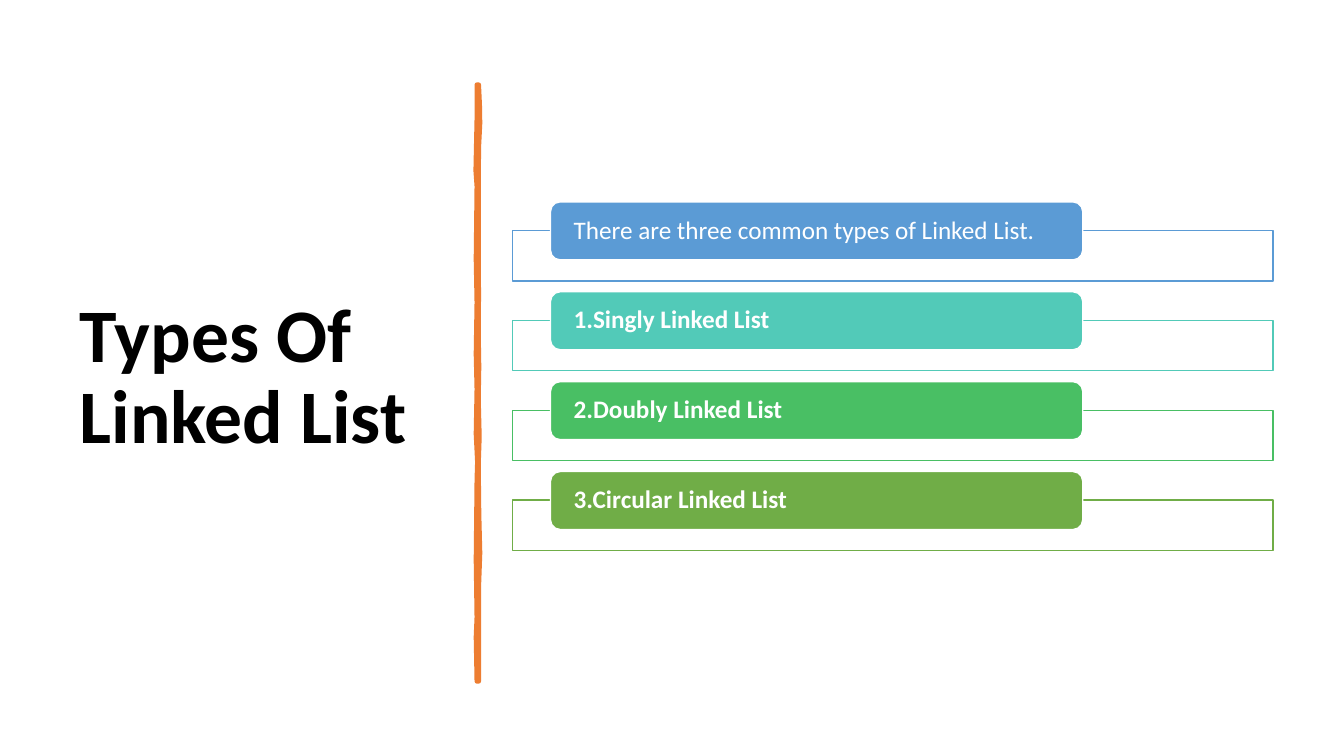
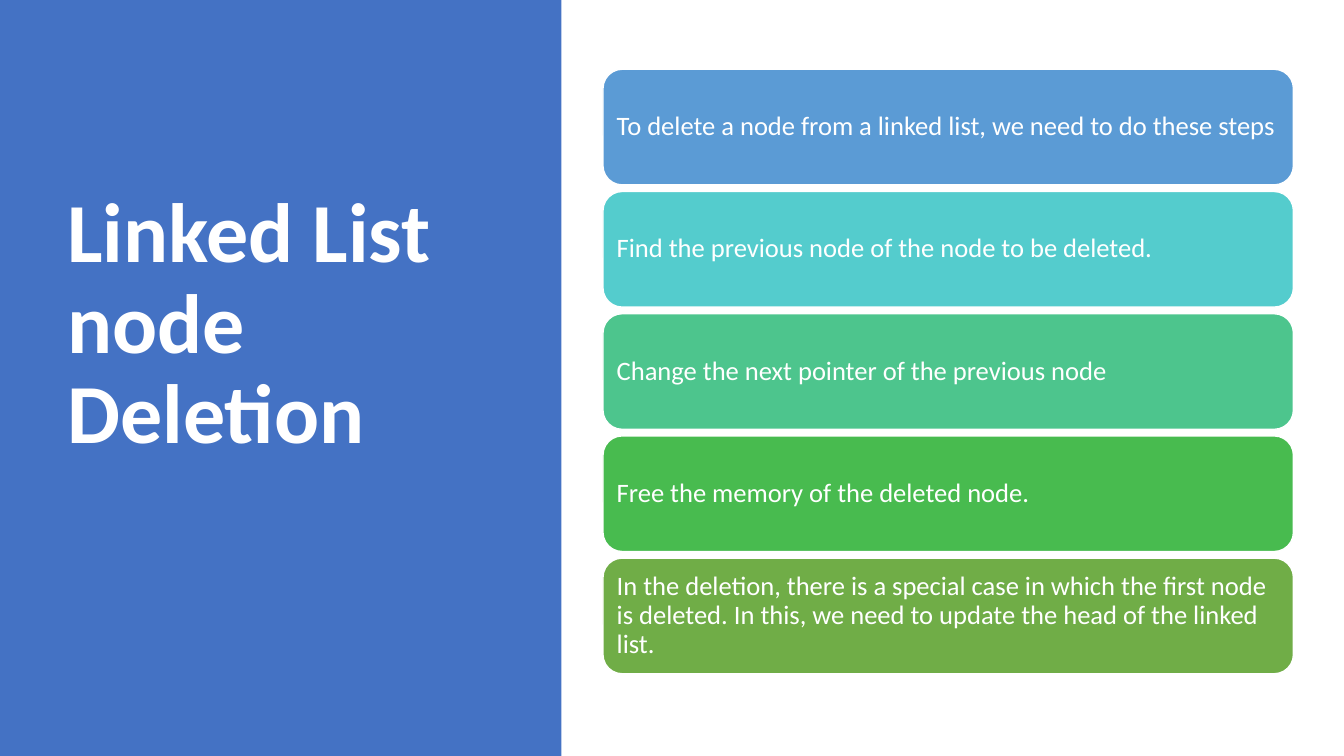
from dataclasses import dataclass

from pptx import Presentation
from pptx.dml.color import RGBColor
from pptx.enum.shapes import MSO_SHAPE
from pptx.enum.text import MSO_ANCHOR, MSO_AUTO_SIZE, PP_ALIGN
from pptx.util import Pt

RECTANGLE, ROUNDED = MSO_SHAPE.RECTANGLE, MSO_SHAPE.ROUNDED_RECTANGLE
MIDDLE, LEFT, NO_FIT = MSO_ANCHOR.MIDDLE, PP_ALIGN.LEFT, MSO_AUTO_SIZE.NONE

# Content: (text, colour, bold)
TYPES_TITLE = "Types Of Linked List"
TYPES = [
    ("There are three common types of Linked List.", "5B9BD5", False),
    ("1.Singly Linked List", "52CAB8", True),
    ("2.Doubly Linked List", "49BF64", True),
    ("3.Circular Linked List", "70AD47", True),
]
DELETION_TITLE = "Linked List node Deletion"
DELETION_STEPS = [
    ("To delete a node from a linked list, we need to do these steps", "5B9BD5", False),
    ("Find the previous node of the node to be deleted.", "54CCCD", False),
    ("Change the next pointer of the previous node", "4DC58D", False),
    ("Free the memory of the deleted node.", "48BB4F", False),
    ("In the deletion, there is a special case in which the first node is deleted. "
     "In this, we need to update the head of the linked list.", "70AD47", False),
]

# Hand-drawn divider: (x, y) down the right edge, then up the left edge
DIVIDER_RIGHT = [(342, 60.5), (342.7, 75), (342.9, 88), (342, 106), (341.8, 163),
                 (342, 212), (341.8, 238), (342.2, 262), (341.8, 285), (342.5, 312),
                 (341.8, 332), (342.2, 367), (342.9, 395), (342, 420), (342, 486.7)]
DIVIDER_LEFT = [(340.6, 486.7), (340, 455), (340.6, 441), (340, 400), (340.6, 343),
                (341, 330), (340, 310), (340.6, 278), (340, 253), (340.6, 216),
                (340, 185), (340.6, 133), (339.8, 122), (340.6, 85), (340.6, 60.5)]


@dataclass(frozen=True)
class Theme:
    font: str = "Calibri"
    black: str = "000000"
    white: str = "FFFFFF"
    panel: str = "4472C4"
    divider: str = "ED7D31"
    types_title: float = 54
    deletion_title: float = 60
    types_text: float = 18
    deletion_text: float = 19
    line_spacing: float = 0.9


THEME = Theme()
WIDTH, HEIGHT = 960, 540


# Shared helpers
def write(shape, text, size, color, bold):
    frame = shape.text_frame
    frame.text = text
    frame.word_wrap = True
    frame.auto_size = NO_FIT
    frame.vertical_anchor = MIDDLE
    paragraph = frame.paragraphs[0]
    paragraph.alignment = LEFT
    paragraph.line_spacing = THEME.line_spacing
    font = paragraph.font
    font.name, font.size, font.bold = THEME.font, Pt(size), bold
    font.color.rgb = RGBColor.from_string(color)


def paint(shape, fill, line=None, weight=1):
    shape.shadow.inherit = False
    shape.fill.solid()
    shape.fill.fore_color.rgb = RGBColor.from_string(fill)
    if line:
        shape.line.color.rgb = RGBColor.from_string(line)
        shape.line.width = Pt(weight)
    else:
        shape.line.fill.background()


def add_block(slide, kind, box, fill, line=None):
    block = slide.shapes.add_shape(kind, *map(Pt, box))
    paint(block, fill, line)
    return block


def add_card(slide, box, item, size, inset):
    text, color, bold = item
    card = add_block(slide, ROUNDED, box, color, THEME.white)
    write(card, text, size, THEME.white, bold)
    frame = card.text_frame
    frame.margin_left = frame.margin_right = Pt(inset)
    frame.margin_top = frame.margin_bottom = 0


def add_titled_slide(deck, text, box, size, color):
    slide = deck.slides.add_slide(deck.slide_layouts[5])
    title = slide.shapes.title
    title.left, title.top, title.width, title.height = map(Pt, box)
    write(title, text, size, color, True)
    return slide


def add_divider(slide):
    start, *rest = [(Pt(x), Pt(y)) for x, y in DIVIDER_RIGHT + DIVIDER_LEFT]
    builder = slide.shapes.build_freeform(*start)
    builder.add_line_segments(rest, close=True)
    paint(builder.convert_to_shape(), THEME.divider, THEME.divider, 3.25)


deck = Presentation()
deck.slide_width, deck.slide_height = Pt(WIDTH), Pt(HEIGHT)

# Types: a framed row for each item
types = add_titled_slide(deck, TYPES_TITLE, (49.7, 50.4, 269.3, 440),
                         THEME.types_title, THEME.black)
add_divider(types)
ROW_TOP, ROW_PITCH, FRAME_DROP = 144.2, 64.2, 20.5
for row, item in enumerate(TYPES):
    top = ROW_TOP + row * ROW_PITCH
    add_block(types, RECTANGLE, (366, top + FRAME_DROP, 543.4, 36), THEME.white, item[1])
    add_card(types, (393.2, top, 380.2, 41.4), item, THEME.types_text, 14.5)

# Deletion: a coloured title panel beside stacked steps
deletion = add_titled_slide(deck, DELETION_TITLE, (41, 49, 299.5, 433.4),
                            THEME.deletion_title, THEME.white)
deletion_title = deletion.shapes.title
deletion_title.text_frame.margin_bottom = Pt(69.5)
panel = add_block(deletion, RECTANGLE, (0, 0, 401, HEIGHT), THEME.panel)
deletion_title.element.addprevious(panel.element)
STEP_TOP, STEP_HEIGHT, STEP_GAP = 49.5, 82.6, 4.7
for row, item in enumerate(DELETION_STEPS):
    top = STEP_TOP + row * (STEP_HEIGHT + STEP_GAP)
    add_card(deletion, (430.7, top, 493.2, STEP_HEIGHT), item, THEME.deletion_text, 5.8)

deck.save("out.pptx")
